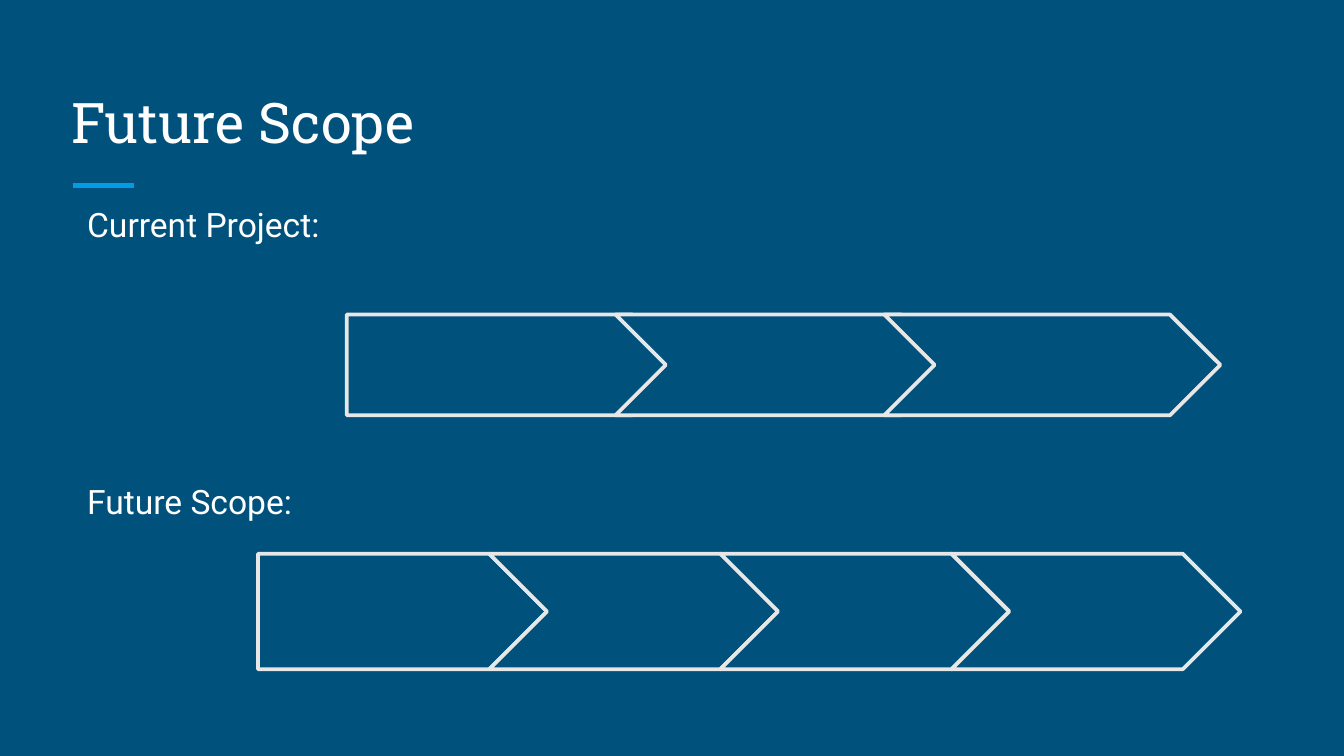
from dataclasses import dataclass

from lxml import etree
from pptx import Presentation
from pptx.dml.color import RGBColor
from pptx.enum.shapes import MSO_CONNECTOR, MSO_SHAPE
from pptx.enum.text import MSO_ANCHOR, MSO_AUTO_SIZE, PP_ALIGN
from pptx.oxml.ns import qn
from pptx.slide import Slide
from pptx.text.text import TextFrame, _Paragraph
from pptx.util import Inches, Pt

STRAIGHT = MSO_CONNECTOR.STRAIGHT
PENTAGON, CHEVRON = MSO_SHAPE.PENTAGON, MSO_SHAPE.CHEVRON
TOP, BOTTOM = MSO_ANCHOR.TOP, MSO_ANCHOR.BOTTOM
LEFT = PP_ALIGN.LEFT
NO_AUTOFIT = MSO_AUTO_SIZE.NONE

NAVY = RGBColor(0x00, 0x51, 0x7C)
SKY = RGBColor(0x03, 0x9B, 0xE5)
PALE = RGBColor(0xE7, 0xE7, 0xE7)
WHITE = RGBColor(0xFF, 0xFF, 0xFF)


@dataclass(frozen=True)
class Process:
    """A chain of arrow steps, in inches."""
    left: float
    top: float
    step_width: float
    height: float
    pitch: float
    steps: int


CURRENT_PROJECT = Process(2.58, 2.34, 2.5, 0.75, 2.0, 3)
FUTURE_SCOPE = Process(1.92, 4.12, 2.15, 0.86, 1.72, 4)


def set_frame(frame: TextFrame, anchor: MSO_ANCHOR) -> None:
    frame.word_wrap = True
    frame.auto_size = NO_AUTOFIT
    frame.vertical_anchor = anchor
    frame.margin_left = frame.margin_right = Inches(0.1)
    frame.margin_top = frame.margin_bottom = Inches(0.1)


def add_run(paragraph: _Paragraph, text: str, font: str, size: int) -> None:
    paragraph.alignment = LEFT
    run = paragraph.add_run()
    run.text = text
    run.font.name = font
    run.font.size = Pt(size)
    run.font.color.rgb = WHITE


def add_title(slide: Slide) -> None:
    title = slide.shapes.title
    title.left, title.top = Inches(0.43), Inches(0.5)
    title.width, title.height = Inches(9.15), Inches(0.75)
    set_frame(title.text_frame, BOTTOM)
    add_run(title.text_frame.paragraphs[0], "Future Scope", "Roboto Slab", 30)


def add_accent(slide: Slide) -> None:
    accent = slide.shapes.add_connector(
        STRAIGHT, Inches(0.54), Inches(1.38), Inches(1), Inches(1.38))
    accent.line.color.rgb = SKY
    accent.line.width = Pt(3)
    etree.SubElement(accent._element.spPr, qn("a:effectLst"))


def add_headings(slide: Slide) -> None:
    body = slide.shapes.add_textbox(
        Inches(0.43), Inches(1.37), Inches(9.15), Inches(3.63)).text_frame
    set_frame(body, TOP)
    current = body.paragraphs[0]
    future = body.add_paragraph()
    future.space_before = Pt(124)
    for heading, text in ((current, "Current Project:"), (future, "Future Scope:")):
        heading.line_spacing = 1.15
        heading._p.get_or_add_pPr().set("marL", str(Inches(0.12)))
        add_run(heading, text, "Roboto", 18)


def add_process(slide: Slide, process: Process) -> None:
    group = slide.shapes.add_group_shape()
    for index in range(process.steps):
        step = group.shapes.add_shape(
            CHEVRON if index else PENTAGON,
            Inches(process.left + index * process.pitch), Inches(process.top),
            Inches(process.step_width), Inches(process.height))
        step.shadow.inherit = False
        step.fill.solid()
        step.fill.fore_color.rgb = NAVY
        step.line.color.rgb = PALE
        step.line.width = Pt(2)


def main() -> None:
    deck = Presentation()
    deck.slide_width = Inches(10)
    deck.slide_height = deck.slide_width * 9 // 16
    slide = deck.slides.add_slide(deck.slide_layouts.get_by_name("Title Only"))
    slide.background.fill.solid()
    slide.background.fill.fore_color.rgb = NAVY

    add_accent(slide)
    add_title(slide)
    add_headings(slide)
    for process in (CURRENT_PROJECT, FUTURE_SCOPE):
        add_process(slide, process)
    deck.save("out.pptx")


if __name__ == "__main__":
    main()
